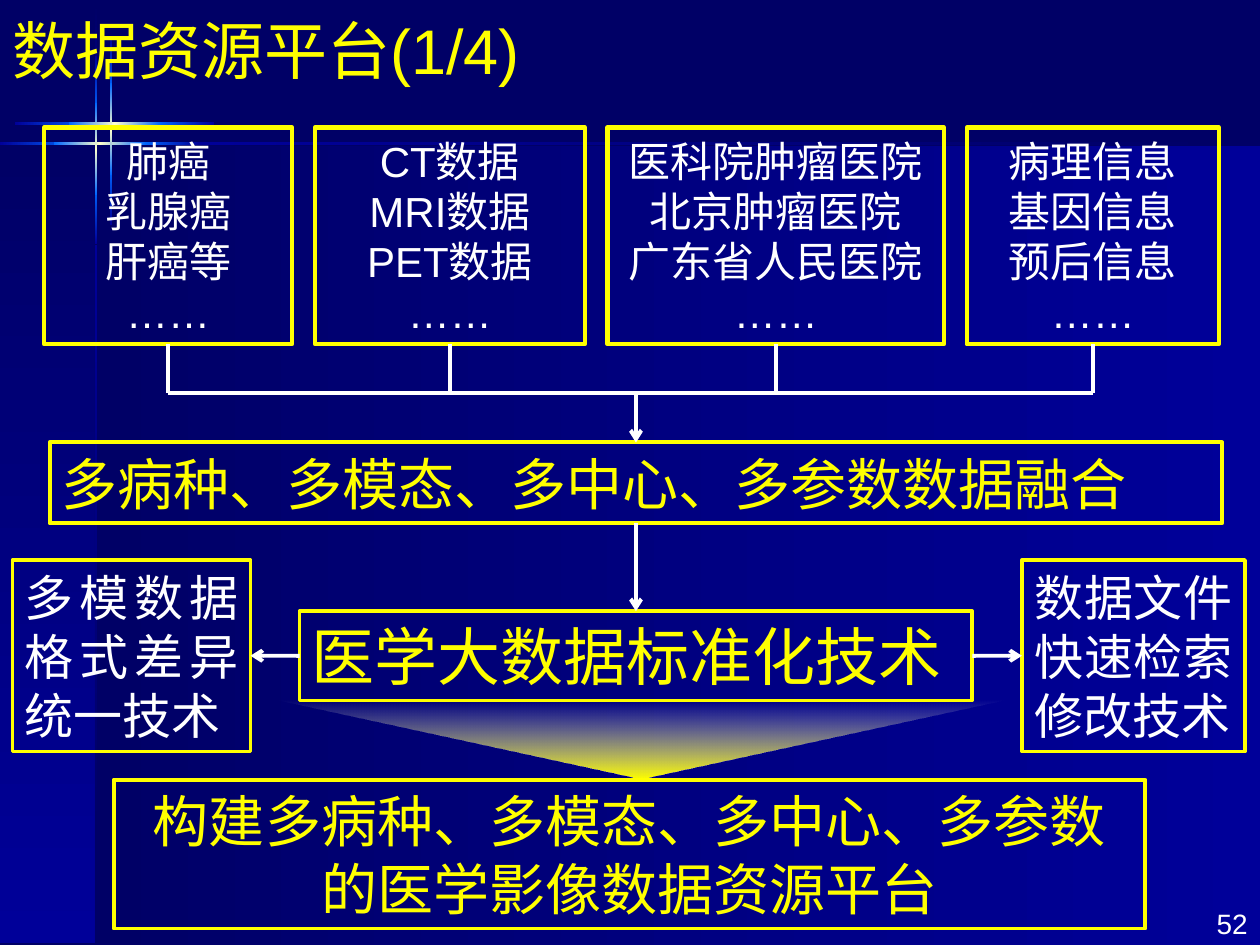
from lxml import etree
from pptx import Presentation
from pptx import util as u
from pptx.dml.color import RGBColor
from pptx.enum import shapes, text
from pptx.oxml import parse_xml
from pptx.oxml.ns import nsdecls, qn

YELLOW, WHITE = "FFFF00", "FFFFFF"
NIGHT, NAVY, BLUE, CREAM = "000066", "000099", "0066FF", "FFFFCC"
LATIN, HAN = "Arial", "Noto Sans CJK SC"
ALIGN = text.PP_ALIGN
TOP, LEFT, BOTTOM, RIGHT = range(4)
ACROSS, DOWN = 0, 90


def color(hex_value):
    return RGBColor.from_string(hex_value)


class Board:
    """Holds the style and the current slide."""

    line_factor = 1.2
    connector_width = 2.25

    def __init__(self, slide, background):
        self.slide = slide
        self.shapes = slide.shapes
        slide.background.fill.solid()
        slide.background.fill.fore_color.rgb = color(background)

    def set_text(self, frame, paragraphs, size, ink, align, anchor):
        """Fill a frame; each paragraph is a list of (words, font) runs."""
        settings = {
            "word_wrap": True, "vertical_anchor": anchor,
            "margin_left": u.Cm(0.25), "margin_right": u.Cm(0.25),
            "margin_top": u.Cm(0.13), "margin_bottom": u.Cm(0.13),
        }
        for name, value in settings.items():
            setattr(frame, name, value)
        for index, runs in enumerate(paragraphs):
            paragraph = frame.paragraphs[0] if index == 0 else frame.add_paragraph()
            paragraph.alignment = align
            paragraph.line_spacing = u.Pt(round(size * self.line_factor, 1))
            for words, font in runs:
                run = paragraph.add_run()
                run.text = words
                run.font.size = u.Pt(size)
                run.font.name = font
                run.font.color.rgb = color(ink)
                east_asian = etree.SubElement(run.font._element, qn("a:ea"))
                east_asian.set("typeface", HAN)

    def label(self, place, words, size, ink, align=ALIGN.LEFT,
              anchor=text.MSO_ANCHOR.TOP):
        box = self.shapes.add_textbox(*map(u.Cm, place))
        self.set_text(box.text_frame, [[(words, LATIN)]], size, ink, align, anchor)

    def frame(self, place, paragraphs, size, ink, align, border=2.25):
        box = self.shapes.add_shape(shapes.MSO_SHAPE.RECTANGLE, *map(u.Cm, place))
        box.shadow.inherit = False
        box.fill.background()
        box.line.color.rgb = color(YELLOW)
        box.line.width = u.Pt(border)
        self.set_text(box.text_frame, paragraphs, size, ink, align,
                      text.MSO_ANCHOR.MIDDLE)
        return box

    def gradient(self, place, stops, angle, kind=shapes.MSO_SHAPE.RECTANGLE):
        """Draw a borderless shape; stops are evenly spaced (hex, opacity %)."""
        area = self.shapes.add_shape(kind, *map(u.Cm, place))
        area.shadow.inherit = False
        area.line.fill.background()
        area.fill.background()
        step = 100000 // (len(stops) - 1)
        marks = "".join(
            f'<a:gs pos="{i * step}"><a:srgbClr val="{tone}">'
            f'<a:alpha val="{opacity * 1000}"/></a:srgbClr></a:gs>'
            for i, (tone, opacity) in enumerate(stops))
        properties = area._element.spPr
        properties.replace(properties.find(qn("a:noFill")), parse_xml(
            f'<a:gradFill rotWithShape="1" {nsdecls("a")}><a:gsLst>{marks}</a:gsLst>'
            f'<a:lin ang="{angle * 60000}" scaled="0"/></a:gradFill>'))
        return area

    def blend(self, place, tones, angle):
        return self.gradient(place, [(tone, 100) for tone in tones], angle)

    def connect(self, start, end, source=None, target=None, arrow=False):
        """Draw a line; source and target are (box, side) pairs to join."""
        link = self.shapes.add_connector(
            shapes.MSO_CONNECTOR.STRAIGHT, *map(u.Cm, (*start, *end)))
        link.line.color.rgb = color(WHITE)
        link.line.width = u.Pt(self.connector_width)
        properties = link._element.spPr
        if arrow:
            etree.SubElement(properties.find(qn("a:ln")), qn("a:tailEnd"), type="arrow")
        etree.SubElement(properties, qn("a:effectLst"))
        if source:
            link.begin_connect(*source)
        if target:
            link.end_connect(*target)


def draw_backdrop(board):
    thin = 0.05
    board.blend((1.91, 2.95, 23.49, 16.1), (NIGHT, NAVY), ACROSS)
    board.blend((0, 2.92, 1.91, 16.1), (NIGHT, NAVY), DOWN)
    board.blend((1.91, 0.05, thin, 3.07), (NIGHT, NAVY), DOWN)
    board.blend((1.91, 4.93, thin, 11.89), (NAVY, NIGHT), DOWN)
    board.blend((3.89, 2.87, 20.9, thin), (NAVY, NIGHT), ACROSS)

    fade_out, fade_in, glow = (BLUE, NAVY), (NAVY, BLUE), (BLUE, CREAM, BLUE)
    across_rays = ((2.9, 1.12, fade_out), (0, 1.55, fade_in), (1.09, 1.85, glow))
    down_rays = ((3.81, 1.12, fade_out), (1.12, 1.12, fade_in), (2.08, 1.85, glow))
    for dx, dy in ((0, 0), (0.3, -0.4)):
        for start, length, tones in across_rays:
            board.blend((start + dx, 2.87 + dy, length, thin), tones, ACROSS)
        for start, length, tones in down_rays:
            board.blend((1.91 + dx, start + dy, thin, length), tones, DOWN)


def draw_flow(board):
    fusion = board.frame(
        (1, 8.92, 23.64, 1.63), [[("多病种、多模态、多中心、多参数数据融合", HAN)]],
        32, YELLOW, ALIGN.JUSTIFY)
    funnel = board.gradient((5.64, 14.12, 14.6, 1.57), [(YELLOW, 100), (WHITE, 0)],
                            DOWN, shapes.MSO_SHAPE.ISOSCELES_TRIANGLE)
    funnel._element.spPr.xfrm.set("flipV", "1")

    sources = (
        (5, ("肺癌", "乳腺癌", "肝癌等", "……")),
        (5.44, ("CT数据", "MRI数据", "PET数据", "……")),
        (6.78, ("医科院肿瘤医院", "北京肿瘤医院", "广东省人民医院", "……")),
        (5.08, ("病理信息", "基因信息", "预后信息", "……")),
    )
    left, top, height, gap, bus = 0.89, 2.57, 4.37, 0.46, 7.92
    centers = []
    for width, items in sources:
        source = board.frame((left, top, width, height),
                             [[(item, LATIN)] for item in items],
                             24, WHITE, ALIGN.CENTER, 2.5)
        center = left + width / 2
        board.connect((center, top + height), (center, bus), (source, BOTTOM))
        centers.append(center)
        left += width + gap
    board.connect((centers[0], bus), (centers[-1], bus))
    axis = 12.82
    board.connect((axis, bus), (axis, 8.92), target=(fusion, TOP), arrow=True)

    standard = board.frame((6.04, 12.32, 13.56, 1.8), [[("医学大数据标准化技术", HAN)]],
                           36, YELLOW, ALIGN.JUSTIFY, 2)
    formats, files = (
        board.frame((x, 11.29, width, 3.86), [[(words, LATIN)]],
                    28, WHITE, ALIGN.JUSTIFY, 2)
        for x, width, words in ((0.25, 4.8, "多模数据格式差异统一技术"),
                                (20.6, 4.5, "数据文件快速检索修改技术")))
    middle = 13.22
    board.connect((axis, 10.55), (axis, 12.32), (fusion, BOTTOM), (standard, TOP), True)
    board.connect((6.04, middle), (5.05, middle), (standard, LEFT), (formats, RIGHT), True)
    board.connect((19.6, middle), (20.6, middle), (standard, RIGHT), (files, LEFT), True)

    board.frame((2.29, 15.72, 20.8, 3),
                [[("构建", LATIN),
                  ("多病种、多模态、多中心、多参数的医学影像数据资源平台", HAN)]],
                32, YELLOW, ALIGN.CENTER)


def main():
    deck = Presentation()
    deck.slide_width, deck.slide_height = u.Cm(25.4), u.Cm(19.05)
    board = Board(deck.slides.add_slide(deck.slide_layouts[6]), NIGHT)
    draw_backdrop(board)
    board.label((22.91, 18.14, 2.49, 0.94), "52", 16, WHITE, ALIGN.RIGHT,
                text.MSO_ANCHOR.MIDDLE)
    board.label((0, 0.1, 25.4, 2.03), "数据资源平台(1/4)", 36, YELLOW)
    draw_flow(board)
    deck.save("out.pptx")


if __name__ == "__main__":
    main()
